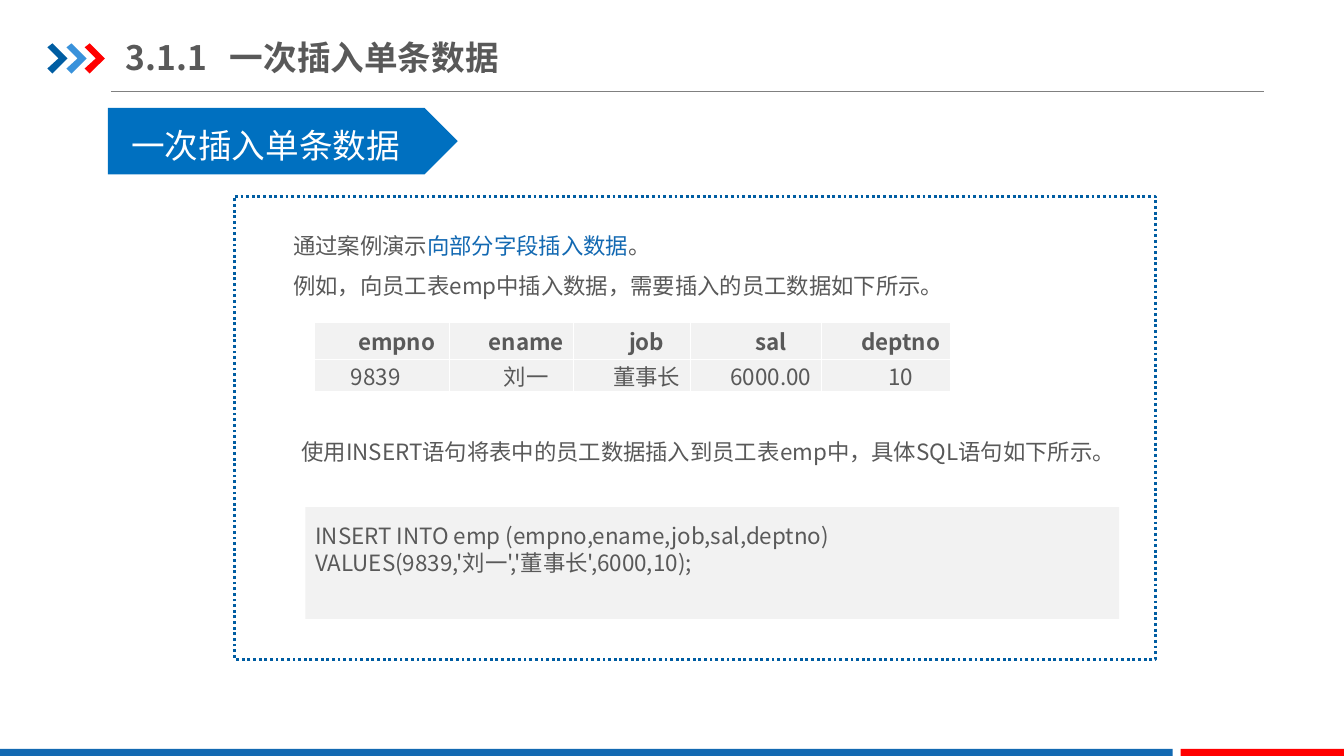
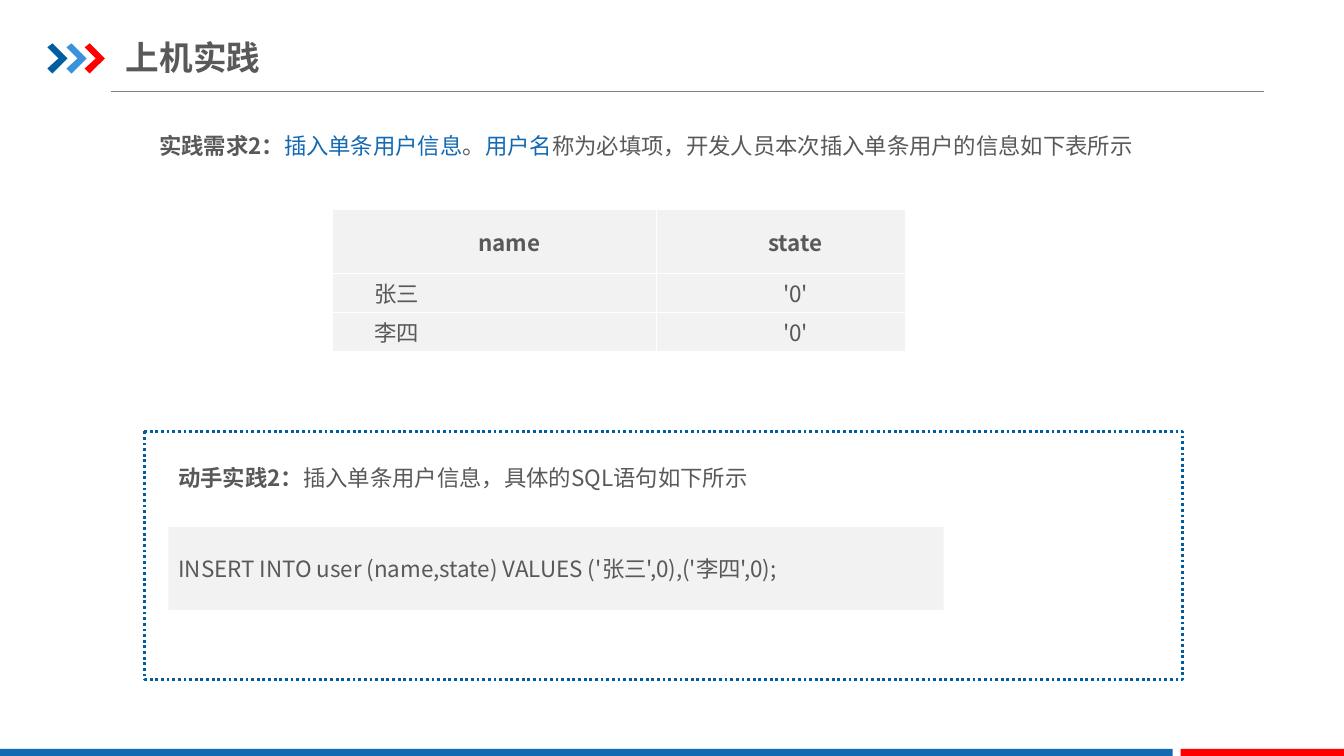
from dataclasses import dataclass
from typing import Optional, Sequence

from pptx import Presentation
from pptx.dml.color import RGBColor
from pptx.enum.dml import MSO_LINE
from pptx.enum.shapes import MSO_CONNECTOR, MSO_SHAPE
from pptx.enum.text import MSO_ANCHOR, PP_ALIGN
from pptx.oxml.xmlchemy import OxmlElement
from pptx.shapes.autoshape import Shape
from pptx.slide import Slide
from pptx.text.text import TextFrame
from pptx.util import Inches, Pt


@dataclass(frozen=True)
class Theme:
    font: str = "Noto Sans CJK SC"
    title_size: int = 24
    body_size: int = 16
    body_spacing: float = 1.5
    ink: RGBColor = RGBColor(0x59, 0x59, 0x59)
    accent: RGBColor = RGBColor(0x13, 0x69, 0xB2)
    navy: RGBColor = RGBColor(0x00, 0x5D, 0xA2)
    sky: RGBColor = RGBColor(0x39, 0x92, 0xDB)
    red: RGBColor = RGBColor(0xFF, 0x00, 0x00)
    banner: RGBColor = RGBColor(0x00, 0x70, 0xC0)
    rule: RGBColor = RGBColor(0x80, 0x80, 0x80)
    panel: RGBColor = RGBColor(0xF2, 0xF2, 0xF2)
    white: RGBColor = RGBColor(0xFF, 0xFF, 0xFF)


THEME = Theme()


@dataclass(frozen=True)
class Box:
    left: float
    top: float
    width: float
    height: float

    def emu(self) -> tuple[int, int, int, int]:
        return (Inches(self.left), Inches(self.top),
                Inches(self.width), Inches(self.height))


@dataclass(frozen=True)
class Span:
    text: str
    color: RGBColor = THEME.ink
    bold: bool = False


@dataclass(frozen=True)
class DataGrid:
    left: float
    top: float
    columns: Sequence[float]
    rows: Sequence[float]
    values: Sequence[Sequence[str]]
    first_indent: float = 0.29


@dataclass(frozen=True)
class Chevron:
    left: float
    color: RGBColor


@dataclass(frozen=True)
class FooterBand:
    left: float
    width: float
    color: RGBColor


CHEVRONS = (Chevron(0.47, THEME.navy), Chevron(0.66, THEME.sky),
            Chevron(0.84, THEME.red))
CHEVRON_TOP = 0.43
CHEVRON_OUTLINE = ((0, 0.04), (0.05, 0), (0.2, 0.15),
                   (0.05, 0.3), (0, 0.25), (0.11, 0.15))
FOOTER_BANDS = (FooterBand(0, 11.63, THEME.accent),
                FooterBand(11.71, 1.62, THEME.red))


def write(frame: TextFrame, lines: Sequence[Sequence[Span]],
          size: int = THEME.body_size, spacing: Optional[float] = None,
          align: PP_ALIGN = PP_ALIGN.LEFT) -> None:
    frame.word_wrap = True
    for index, spans in enumerate(lines):
        paragraph = frame.add_paragraph() if index else frame.paragraphs[0]
        paragraph.text = spans[0].text
        for span in spans[1:]:
            paragraph.add_run().text = span.text
        paragraph.alignment = align
        if spacing:
            paragraph.line_spacing = spacing
        for run, span in zip(paragraph.runs, spans):
            run.font.name = THEME.font
            run.font.size = Pt(size)
            run.font.bold = span.bold
            run.font.color.rgb = span.color
            east_asian = OxmlElement("a:ea")
            east_asian.set("typeface", THEME.font)
            run.font.color
            run._r.get_or_add_rPr().append(east_asian)


def fill_plain(shape: Shape, color: RGBColor) -> None:
    shape.shadow.inherit = False
    shape.fill.solid()
    shape.fill.fore_color.rgb = color
    shape.line.fill.background()


def add_block(slide: Slide, kind: MSO_SHAPE, box: Box, color: RGBColor) -> Shape:
    block = slide.shapes.add_shape(kind, *box.emu())
    fill_plain(block, color)
    return block


def add_dotted_frame(slide: Slide, box: Box) -> None:
    frame = add_block(slide, MSO_SHAPE.FLOWCHART_PROCESS, box, THEME.white)
    frame.line.color.rgb = THEME.navy
    frame.line.width = Pt(2)
    frame.line.dash_style = MSO_LINE.ROUND_DOT


def add_body(slide: Slide, box: Box, lines: Sequence[Sequence[Span]]) -> None:
    body = slide.shapes.add_textbox(*box.emu())
    write(body.text_frame, lines, spacing=THEME.body_spacing)


def add_code(slide: Slide, box: Box, statements: Sequence[str],
             bottom: float = 0.05) -> None:
    code = add_block(slide, MSO_SHAPE.RECTANGLE, box, THEME.panel)
    code.text_frame.vertical_anchor = MSO_ANCHOR.MIDDLE
    code.text_frame.margin_bottom = Inches(bottom)
    write(code.text_frame, [[Span(statement)] for statement in statements])


def add_banner(slide: Slide, box: Box, text: str) -> None:
    banner = add_block(slide, MSO_SHAPE.PENTAGON, box, THEME.banner)
    frame = banner.text_frame
    frame.vertical_anchor = MSO_ANCHOR.MIDDLE
    frame.margin_left, frame.margin_right = Inches(0.23), Inches(0)
    frame.margin_top, frame.margin_bottom = Inches(0.08), Inches(0)
    write(frame, [[Span(text, THEME.white)]], THEME.title_size)


def add_data_grid(slide: Slide, grid: DataGrid) -> None:
    box = Box(grid.left, grid.top, sum(grid.columns), sum(grid.rows))
    table = slide.shapes.add_table(
        len(grid.rows), len(grid.columns), *box.emu()).table
    table.first_row = table.horz_banding = False
    for column, width in zip(table.columns, grid.columns):
        column.width = Inches(width)
    for row_index, height in enumerate(grid.rows):
        table.rows[row_index].height = Inches(height)
        for column_index, value in enumerate(grid.values[row_index]):
            header = row_index == 0
            justified = not header and column_index == 0
            cell = table.cell(row_index, column_index)
            cell.fill.solid()
            cell.fill.fore_color.rgb = THEME.panel
            cell.vertical_anchor = MSO_ANCHOR.MIDDLE
            cell.margin_left = cell.margin_right = Inches(0.07)
            cell.margin_top = cell.margin_bottom = Inches(0)
            write(cell.text_frame, [[Span(value, bold=header)]],
                  align=PP_ALIGN.JUSTIFY if justified else PP_ALIGN.CENTER)
            indent = grid.first_indent if justified else 0.29
            properties = cell.text_frame.paragraphs[0]._p.get_or_add_pPr()
            properties.set("marL", "0")
            properties.set("indent", str(Inches(indent)))
            add_cell_borders(cell._tc.get_or_add_tcPr())


def add_cell_borders(cell_properties) -> None:
    for position, side in enumerate(("L", "R", "T", "B")):
        border = OxmlElement(f"a:ln{side}")
        border.set("w", str(Pt(1)))
        fill = OxmlElement("a:solidFill")
        color = OxmlElement("a:srgbClr")
        color.set("val", str(THEME.white))
        fill.append(color)
        border.append(fill)
        cell_properties.insert(position, border)


def add_title(slide: Slide, text: str, tab: Optional[float] = None) -> None:
    title = slide.shapes.add_textbox(*Box(1.25, 0.29, 4.26, 0.55).emu())
    frame = title.text_frame
    frame.vertical_anchor = MSO_ANCHOR.MIDDLE
    frame.margin_left = frame.margin_right = Inches(0)
    frame.margin_top = frame.margin_bottom = Inches(0.07)
    if tab:
        stops = OxmlElement("a:tabLst")
        stop = OxmlElement("a:tab")
        stop.set("pos", str(Inches(tab)))
        stop.set("algn", "l")
        stops.append(stop)
        frame.paragraphs[0]._p.get_or_add_pPr().append(stops)
    write(frame, [[Span(text, bold=True)]], THEME.title_size)


def add_lesson_slide(deck, title: str, tab: Optional[float] = None) -> Slide:
    slide = deck.slides.add_slide(deck.slide_layouts[6])
    rule = slide.shapes.add_connector(
        MSO_CONNECTOR.STRAIGHT,
        Inches(1.1), Inches(0.91), Inches(12.54), Inches(0.91))
    rule.line.color.rgb = THEME.rule
    rule.line.width = Pt(0.75)
    rule._element.spPr.append(OxmlElement("a:effectLst"))
    for chevron in CHEVRONS:
        corners = [(Inches(chevron.left + x), Inches(CHEVRON_TOP + y))
                   for x, y in CHEVRON_OUTLINE]
        outline = slide.shapes.build_freeform(*corners[0])
        outline.add_line_segments(corners[1:], close=True)
        fill_plain(outline.convert_to_shape(), chevron.color)
    for band in FOOTER_BANDS:
        add_block(slide, MSO_SHAPE.RECTANGLE,
                  Box(band.left, 7.43, band.width, 0.07), band.color)
    add_title(slide, title, tab)
    return slide


def build_single_insert(deck) -> None:
    slide = add_lesson_slide(deck, "3.1.1\t一次插入单条数据", tab=1.03)
    add_banner(slide, Box(1.07, 1.07, 3.47, 0.66), "一次插入单条数据")
    add_dotted_frame(slide, Box(2.33, 1.95, 9.13, 4.59))
    add_body(slide, Box(2.81, 2.12, 8.21, 0.91), [
        [Span("通过案例演示"), Span("向部分字段插入数据", THEME.accent), Span("。")],
        [Span("例如，向员工表emp中插入数据，需要插入的员工数据如下所示。")],
    ])
    add_data_grid(slide, DataGrid(
        3.12, 3.2, (1.34, 1.23, 1.16, 1.3, 1.28), (0.37, 0.32),
        (("empno", "ename", "job", "sal", "deptno"),
         ("9839", "刘一", "董事长", "6000.00", "10"))))
    add_body(slide, Box(2.89, 4.16, 8.21, 0.91), [
        [Span("使用INSERT语句将表中的员工数据插入到员工表emp中，具体SQL语句如下所示。")],
    ])
    add_code(slide, Box(3.03, 5.03, 8.07, 1.11), (
        "INSERT INTO emp (empno,ename,job,sal,deptno)",
        "VALUES(9839,'刘一','董事长',6000,10);",
    ), bottom=0.32)


def build_practice(deck) -> None:
    slide = add_lesson_slide(deck, "上机实践")
    add_body(slide, Box(1.48, 1.13, 10.23, 0.5), [[
        Span("实践需求2：", bold=True),
        Span("插入单条用户信息", THEME.accent),
        Span("。"),
        Span("用户名", THEME.accent),
        Span("称为必填项，开发人员本次插入单条用户的信息如下表所示"),
    ]])
    add_data_grid(slide, DataGrid(
        3.3, 2.08, (3.21, 2.47), (0.63, 0.39, 0.39),
        (("name", "state"), ("张三", "'0'"), ("李四", "'0'")),
        first_indent=0.34))
    add_dotted_frame(slide, Box(1.43, 4.28, 10.3, 2.46))
    add_body(slide, Box(1.67, 4.42, 8.06, 0.5), [[
        Span("动手实践2：", bold=True),
        Span("插入单条用户信息，具体的SQL语句如下所示"),
    ]])
    add_code(slide, Box(1.67, 5.23, 7.69, 0.82), (
        "INSERT INTO user (name,state) VALUES ('张三',0),('李四',0);",
    ))


def main() -> None:
    deck = Presentation()
    deck.slide_width, deck.slide_height = Inches(13.33), Inches(7.5)
    build_single_insert(deck)
    build_practice(deck)
    deck.save("out.pptx")


if __name__ == "__main__":
    main()
